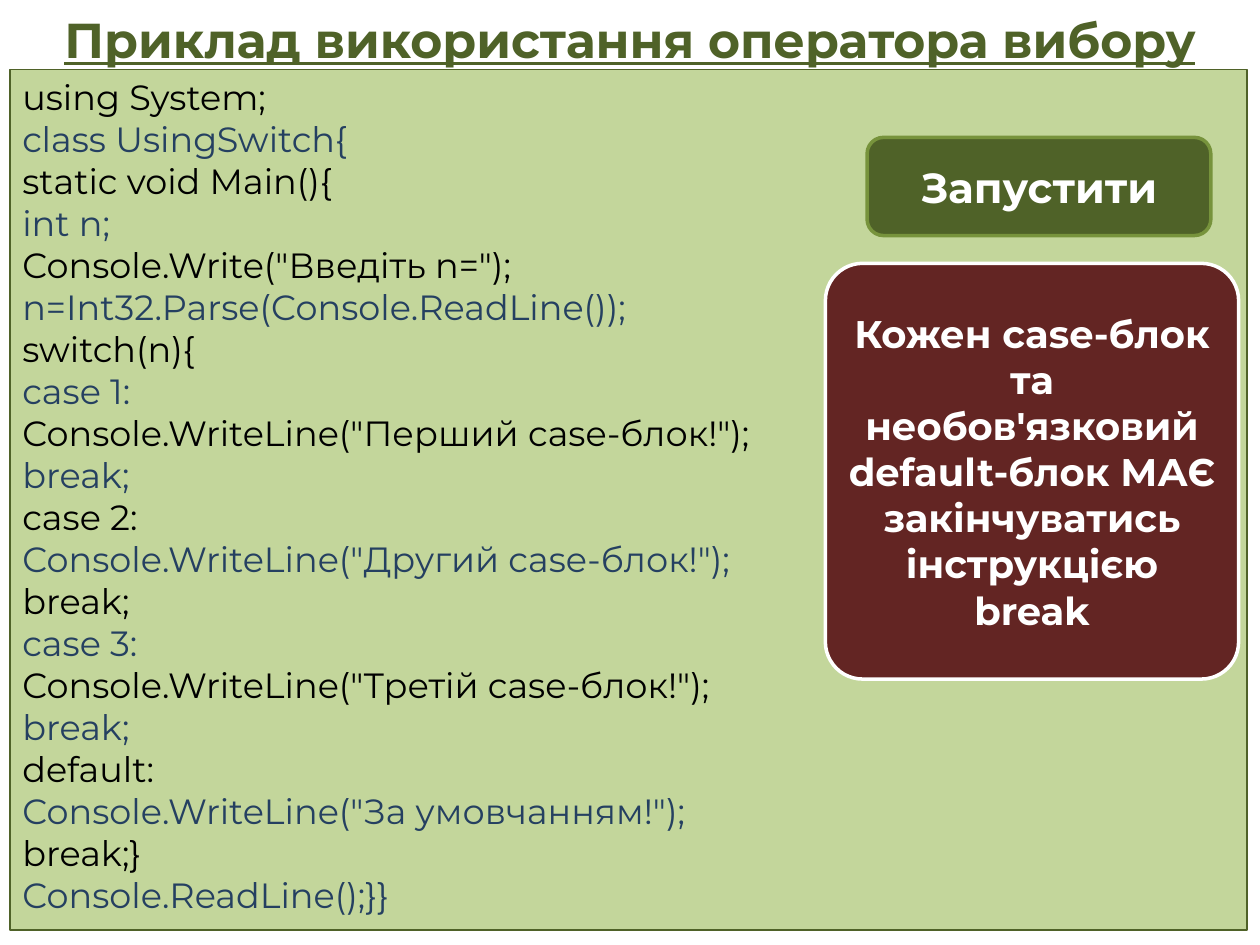
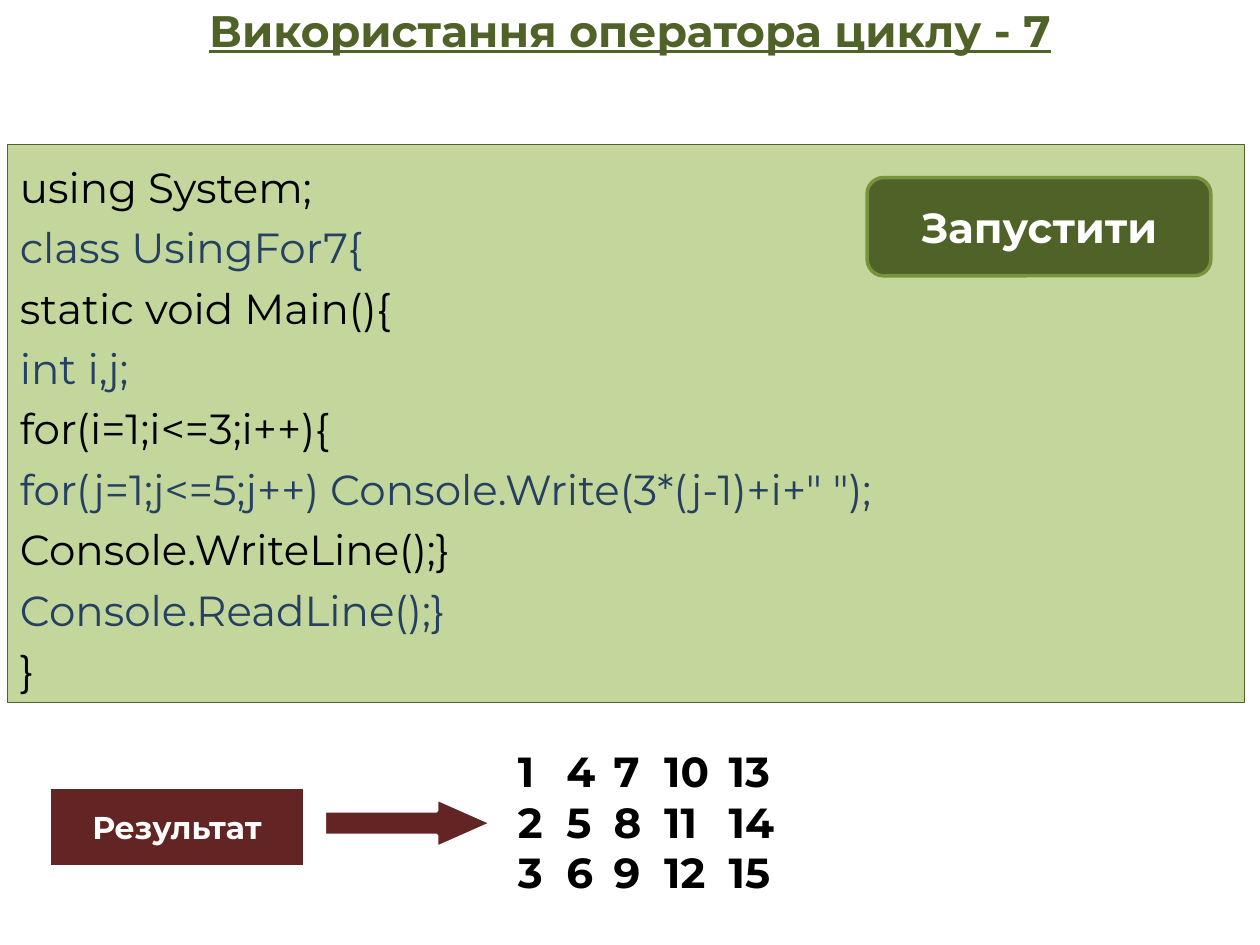
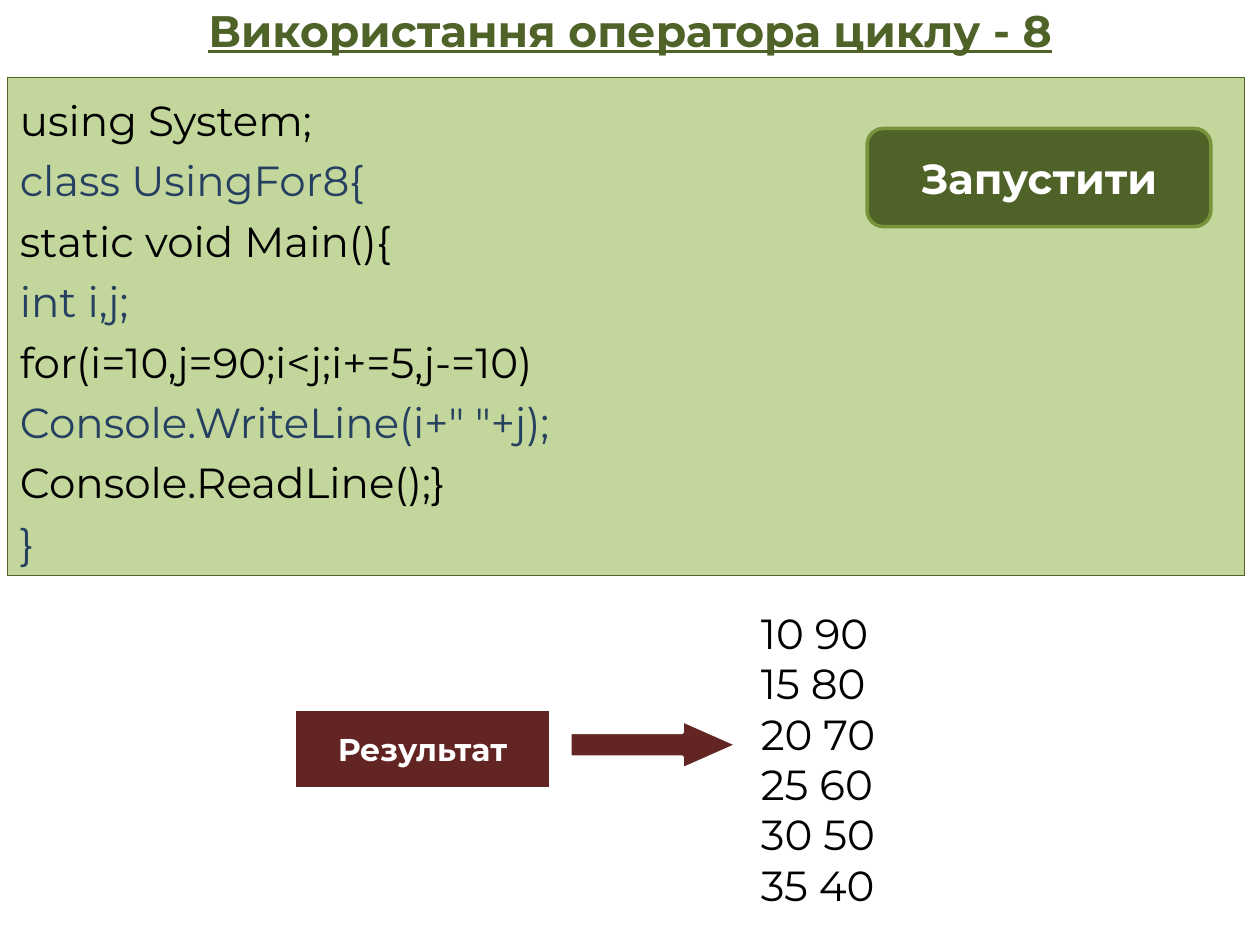
import pptx
import pptx.util
import pptx.dml.color
import pptx.enum.shapes
import pptx.enum.text
import lxml.etree

Cm = pptx.util.Cm
Pt = pptx.util.Pt
RGBColor = pptx.dml.color.RGBColor
SHAPE = pptx.enum.shapes.MSO_SHAPE
ANCHOR = pptx.enum.text.MSO_ANCHOR
ALIGN = pptx.enum.text.PP_ALIGN

FONT = "Montserrat"
WHITE = RGBColor(0xFF, 0xFF, 0xFF)
BLACK = RGBColor(0x00, 0x00, 0x00)
NAVY = RGBColor(0x25, 0x40, 0x61)
DARK_GREEN = RGBColor(0x4F, 0x62, 0x28)
MID_GREEN = RGBColor(0x77, 0x93, 0x3C)
PALE_GREEN = RGBColor(0xC3, 0xD6, 0x9B)
MAROON = RGBColor(0x63, 0x25, 0x23)

SLIDES = [
    {
        "title": "Приклад використання оператора вибору",
        "title_height": 1.57,
        "title_size": 28,
        "code": """using System;
class UsingSwitch{
static void Main(){
int n;
Console.Write("Введiть n=");
n=Int32.Parse(Console.ReadLine());
switch(n){
case 1:
Console.WriteLine("Перший case-блок!");
break;
case 2:
Console.WriteLine("Другий case-блок!");
break;
case 3:
Console.WriteLine("Третiй case-блок!");
break;
default:
Console.WriteLine("За умовчанням!");
break;}
Console.ReadLine();}}""",
        "code_at": (0.2, 1.4, 24.94, 17.35),
        "code_size": 20,
        "spacing": 1.0,
        "button_top": 2.77,
        "note": "Кожен case-блок та необов'язковий default-блок МАЄ "
                "закінчуватись інструкцією break",
    },
    {
        "title": "Використання оператора циклу - 7",
        "title_height": 1.19,
        "title_size": 25.2,
        "code": """using System;
class UsingFor7{
static void Main(){
int i,j;
for(i=1;i<=3;i++){
for(j=1;j<=5;j++) Console.Write(3*(j-1)+i+" ");
Console.WriteLine();}
Console.ReadLine();}
}""",
        "code_at": (0.15, 2.92, 24.94, 11.25),
        "code_size": 24,
        "spacing": 1.2,
        "button_top": 3.58,
        "label_at": (0.99, 15.88),
        "result": ["\t".join(str(3 * j + i) for j in range(5)) for i in (1, 2, 3)],
        "result_at": (10.19, 14.91, 8.28, 3.33),
        "result_bold": True,
        "tabs": (0.98, 1.93, 2.95, 4.25),
    },
    {
        "title": "Використання оператора циклу - 8",
        "title_height": 1.19,
        "title_size": 25.2,
        "code": """using System;
class UsingFor8{
static void Main(){
int i,j;
for(i=10,j=90;i<j;i+=5,j-=10)
Console.WriteLine(i+" "+j);
Console.ReadLine();}
}""",
        "code_at": (0.15, 1.57, 24.94, 10.03),
        "code_size": 24,
        "spacing": 1.2,
        "button_top": 2.59,
        "label_at": (5.94, 14.3),
        "result": ["10 90", "15 80", "20 70", "25 60", "30 50", "35 40"],
        "result_at": (15.09, 12.12, 3.51, 6.4),
        "result_bold": False,
        "tabs": (),
    },
]


def add_box(s, kind, at, fill, line, width):
    sp = s.shapes.add_shape(kind, *[Cm(v) for v in at])
    sp.shadow.inherit = False
    sp.fill.solid()
    sp.fill.fore_color.rgb = fill
    sp.line.color.rgb = line
    sp.line.width = Pt(width)
    return sp


def write(sp, lines, size, colors, bold=False, centred=True, spacing=1.0):
    tf = sp.text_frame
    tf.word_wrap = True
    tf.auto_size = pptx.enum.text.MSO_AUTO_SIZE.NONE
    tf.vertical_anchor = ANCHOR.MIDDLE if centred else ANCHOR.TOP
    tf.text = "\n".join(lines)
    for i, p in enumerate(tf.paragraphs):
        p.alignment = ALIGN.CENTER if centred else ALIGN.LEFT
        p.line_spacing = spacing
        p.font.name = FONT
        p.font.size = Pt(size)
        p.font.bold = bold
        p.font.color.rgb = colors[i % len(colors)]
    return tf


prs = pptx.Presentation()
prs.slide_width = Cm(25.4)
prs.slide_height = Cm(19.05)

for d in SLIDES:
    s = prs.slides.add_slide(prs.slide_layouts[5])
    title = s.shapes.title
    title.left, title.top = Cm(0), Cm(0)
    title.width, title.height = prs.slide_width, Cm(d["title_height"])
    tf = write(title, [d["title"]], d["title_size"], [DARK_GREEN], bold=True)
    tf.paragraphs[0].font.underline = True

    code = add_box(s, SHAPE.RECTANGLE, d["code_at"], PALE_GREEN, DARK_GREEN, 0.75)
    write(code, d["code"].split("\n"), d["code_size"], [BLACK, NAVY],
          centred=False, spacing=d["spacing"])

    button = add_box(s, SHAPE.ROUNDED_RECTANGLE, (17.48, d["button_top"], 6.93, 1.98),
                     DARK_GREEN, MID_GREEN, 2)
    write(button, ["Запустити"], 24, [WHITE], bold=True)

    if "note" in d:
        note = add_box(s, SHAPE.ROUNDED_RECTANGLE, (16.64, 5.31, 8.33, 8.38),
                       MAROON, WHITE, 2)
        note.adjustments[0] = 0.09
        write(note, [d["note"]], 22, [WHITE], bold=True)

    if "result" in d:
        x, y = d["label_at"]
        label = add_box(s, SHAPE.RECTANGLE, (x, y, 5.16, 1.6), MAROON, WHITE, 2)
        write(label, ["Результат"], 18, [WHITE], bold=True)

        arrow = add_box(s, SHAPE.RIGHT_ARROW, (x + 5.55, y + 0.22, 3.38, 0.99),
                        MAROON, WHITE, 2)
        arrow.adjustments[1] = 1.13

        result = s.shapes.add_textbox(*[Cm(v) for v in d["result_at"]])
        tf = write(result, d["result"], 24, [BLACK], bold=d["result_bold"], centred=False)
        if d["tabs"]:
            for p in tf.paragraphs:
                pPr = p._p.get_or_add_pPr()
                tabs = lxml.etree.Element(pptx.oxml.ns.qn("a:tabLst"))
                for pos in d["tabs"]:
                    lxml.etree.SubElement(tabs, pptx.oxml.ns.qn("a:tab"),
                                          pos=str(Cm(pos)), algn="l")
                pPr.insert_element_before(tabs, "a:defRPr", "a:extLst")

prs.save("out.pptx")
